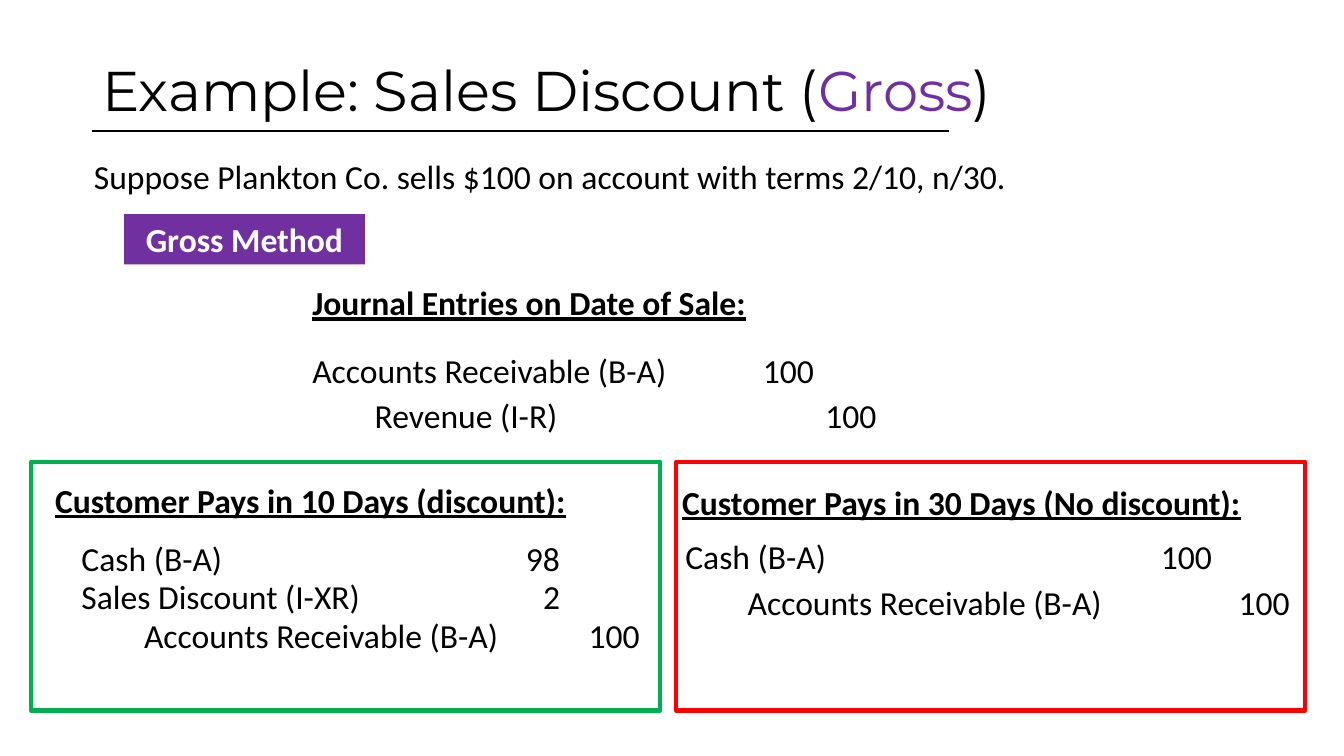
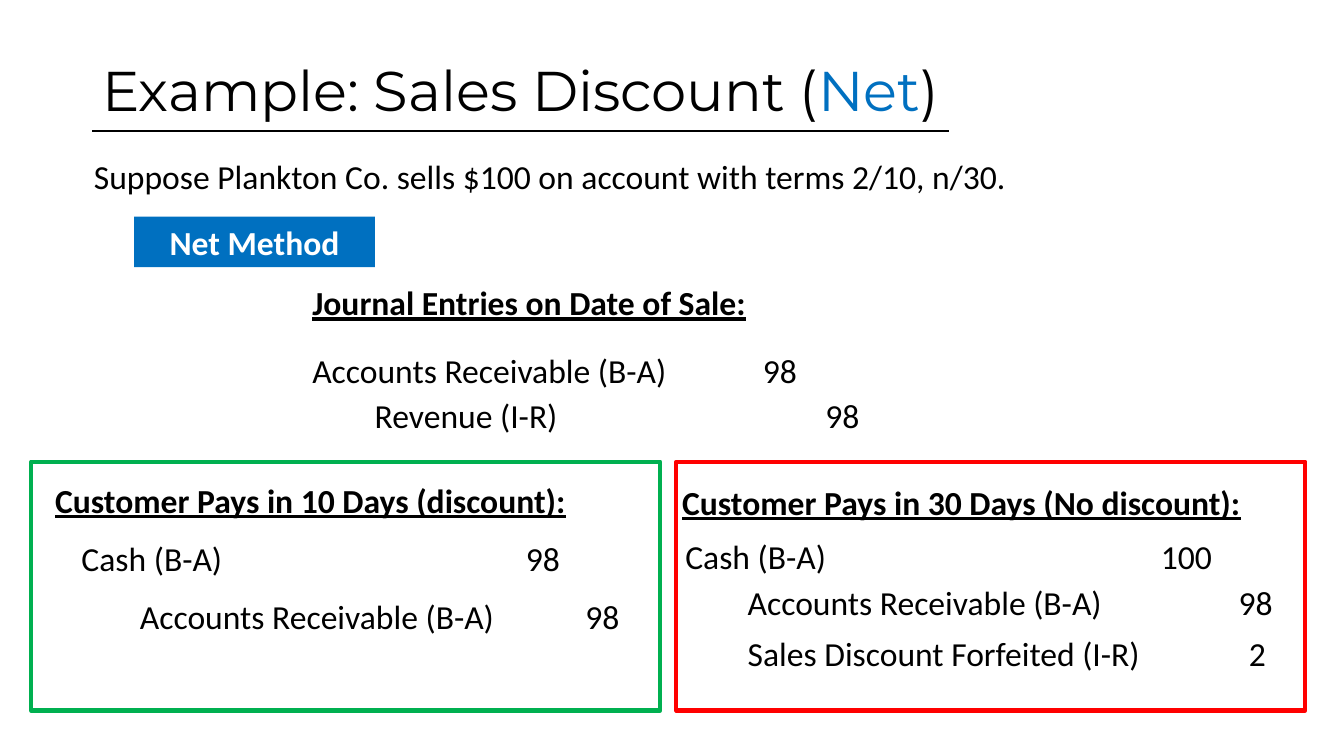
from pptx import Presentation
from pptx.dml.color import RGBColor
from pptx.enum.shapes import MSO_CONNECTOR, MSO_SHAPE
from pptx.enum.text import MSO_ANCHOR, MSO_AUTO_SIZE, PP_ALIGN
from pptx.oxml.ns import qn
from pptx.util import Pt
from lxml import etree

RECTANGLE = MSO_SHAPE.RECTANGLE
STRAIGHT = MSO_CONNECTOR.STRAIGHT
MIDDLE = MSO_ANCHOR.MIDDLE
FIT_SHAPE = MSO_AUTO_SIZE.SHAPE_TO_FIT_TEXT
CENTER = PP_ALIGN.CENTER

COLORS = {
    "text": "000000",
    "white": "FFFFFF",
    "gross": "7030A0",
    "net": "0070C0",
    "discount": "00B050",
    "no_discount": "FF0000",
}
TITLE_FONT, BODY_FONT = "Montserrat", "Calibri"
TITLE_SIZE, BODY_SIZE = 40, 24
LINE_HEIGHT = 36
HEADING_WIDTH, ACCOUNT_WIDTH, AMOUNT_WIDTH = 430, 306, 60
PANEL_WIDTH, PANEL_HEIGHT, PANEL_TOP = 449.3, 177.8, 329.8
DISCOUNT_LEFT, NO_DISCOUNT_LEFT = 22.3, 483.1

RECEIVABLE = "Accounts Receivable (B-A)"
CASH = "Cash (B-A)"

# Journal entries: account, its left, amount, its left, top (all from the box corner)
SLIDES = [
    {
        "method": "Gross",
        "color": "gross",
        "tag": (88.6, 152.9),
        "sale": [
            (RECEIVABLE, 0, "100", 321.8, 48.2),
            ("Revenue (I-R)", 44.6, "100", 366.5, 80.6),
        ],
        "discount": [
            (CASH, 28.8, "98", 346.3, 51.1),
            ("Sales Discount (I-XR)", 28.8, "2", 358.6, 78.4),
            (RECEIVABLE, 73.5, "100", 391, 105.8),
        ],
        "no_discount": [
            (CASH, -0.7, "100", 339.1, 49.6),
            (RECEIVABLE, 43.9, "100", 394.6, 82),
        ],
    },
    {
        "method": "Net",
        "color": "net",
        "tag": (95.8, 154.8),
        "sale": [
            (RECEIVABLE, 0, "98", 321.8, 48.2),
            ("Revenue (I-R)", 44.6, "98", 366.5, 80.6),
        ],
        "discount": [
            (CASH, 28.8, "98", 346.3, 51.1),
            (RECEIVABLE, 70.6, "98", 388.8, 92.1),
        ],
        "no_discount": [
            (CASH, -0.7, "100", 339.1, 49.6),
            (RECEIVABLE, 43.9, "98", 394.6, 82),
            ("Sales Discount Forfeited (I-R)", 43.9, "2", 401.8, 118.8),
        ],
    },
]


def rgb(name):
    return RGBColor.from_string(COLORS[name])


def style(font, name=BODY_FONT, size=BODY_SIZE, color="text", bold=False, underline=False):
    font.name = name
    font.size = Pt(size)
    font.color.rgb = rgb(color)
    font.bold = bold
    font.underline = underline


def add_text(slide, left, top, width, text, **font_style):
    """Place one line of body text."""
    box = slide.shapes.add_textbox(Pt(left), Pt(top), Pt(width), Pt(LINE_HEIGHT))
    frame = box.text_frame
    frame.word_wrap = True
    frame.auto_size = FIT_SHAPE
    frame.text = text
    style(frame.paragraphs[0].runs[0].font, **font_style)


def add_rectangle(slide, left, top, width, height):
    shape = slide.shapes.add_shape(RECTANGLE, Pt(left), Pt(top), Pt(width), Pt(height))
    shape.shadow.inherit = False
    return shape


def add_title(slide, left, top, method, color):
    """Place the title, with the method name coloured, and the rule under it."""
    box = slide.shapes.add_textbox(Pt(left), Pt(top), Pt(828), Pt(104.4))
    frame = box.text_frame
    frame.word_wrap = True
    frame.vertical_anchor = MIDDLE
    paragraph = frame.paragraphs[0]
    paragraph.line_spacing = 0.9
    parts = [("Example: Sales Discount (", "text"), (method, color), (")", "text")]
    for text, run_color in parts:
        run = paragraph.add_run()
        run.text = text
        style(run.font, TITLE_FONT, TITLE_SIZE, run_color)

    rule_top = Pt(top + 79.2)
    rule = slide.shapes.add_connector(STRAIGHT, Pt(left), rule_top, Pt(left + 612), rule_top)
    rule.line.color.rgb = rgb("text")
    rule.line.width = Pt(1)
    etree.SubElement(rule._element.spPr, qn("a:effectLst"))


def add_method_tag(slide, left, top, method, color):
    tag = add_rectangle(slide, left, top, 172, LINE_HEIGHT)
    tag.fill.solid()
    tag.fill.fore_color.rgb = rgb(color)
    tag.line.fill.background()
    frame = tag.text_frame
    frame.word_wrap = True
    frame.text = f"{method} Method"
    paragraph = frame.paragraphs[0]
    paragraph.alignment = CENTER
    style(paragraph.runs[0].font, color="white", bold=True)


def add_heading(slide, left, top, text):
    add_text(slide, left, top, HEADING_WIDTH, text, bold=True, underline=True)


def add_entries(slide, left, top, entries):
    for account, account_left, amount, amount_left, row_top in entries:
        add_text(slide, left + account_left, top + row_top, ACCOUNT_WIDTH, account)
        add_text(slide, left + amount_left, top + row_top, AMOUNT_WIDTH, amount)


def add_sale(slide, left, top, entries):
    add_heading(slide, left, top, "Journal Entries on Date of Sale:")
    add_entries(slide, left, top, entries)


def add_payment_panel(slide, left, top, color, heading, heading_offset, entries):
    panel = add_rectangle(slide, left, top, PANEL_WIDTH, PANEL_HEIGHT)
    panel.fill.background()
    panel.line.color.rgb = rgb(color)
    panel.line.width = Pt(3)
    offset_left, offset_top = heading_offset
    add_heading(slide, left + offset_left, top + offset_top, heading)
    add_entries(slide, left, top, entries)


def add_example_slide(presentation, example):
    slide = presentation.slides.add_slide(presentation.slide_layouts[6])
    method, color = example["method"], example["color"]
    add_title(slide, 66, 14.4, method, color)
    add_text(slide, 60, 108, 822,
             "Suppose Plankton Co. sells $100 on account with terms 2/10, n/30.")
    add_method_tag(slide, *example["tag"], method, color)
    add_sale(slide, 216, 198, example["sale"])
    add_payment_panel(slide, DISCOUNT_LEFT, PANEL_TOP, "discount",
                      "Customer Pays in 10 Days (discount):", (10, 9.4),
                      example["discount"])
    add_payment_panel(slide, NO_DISCOUNT_LEFT, PANEL_TOP, "no_discount",
                      "Customer Pays in 30 Days (No discount):", (-2.9, 10.8),
                      example["no_discount"])


def main():
    presentation = Presentation()
    presentation.slide_width = Pt(960)
    presentation.slide_height = Pt(540)
    for example in SLIDES:
        add_example_slide(presentation, example)
    presentation.save("out.pptx")


if __name__ == "__main__":
    main()
